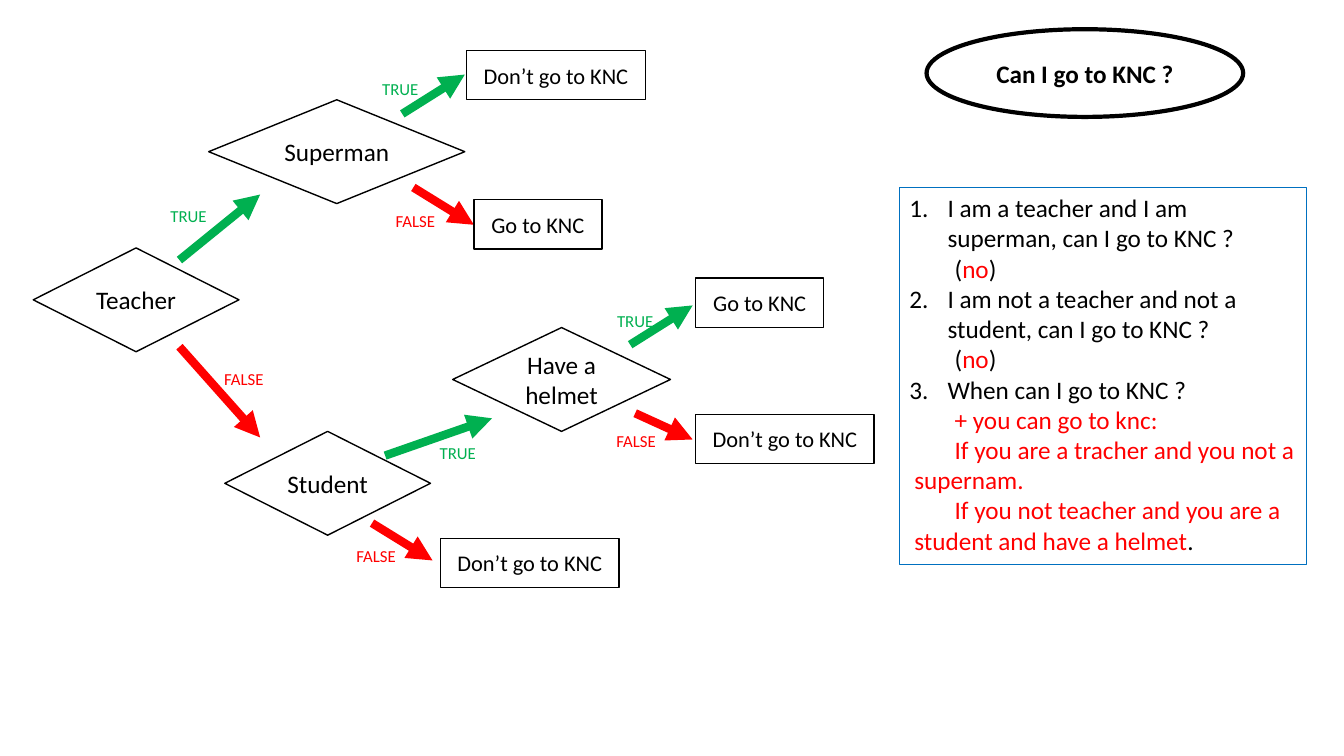
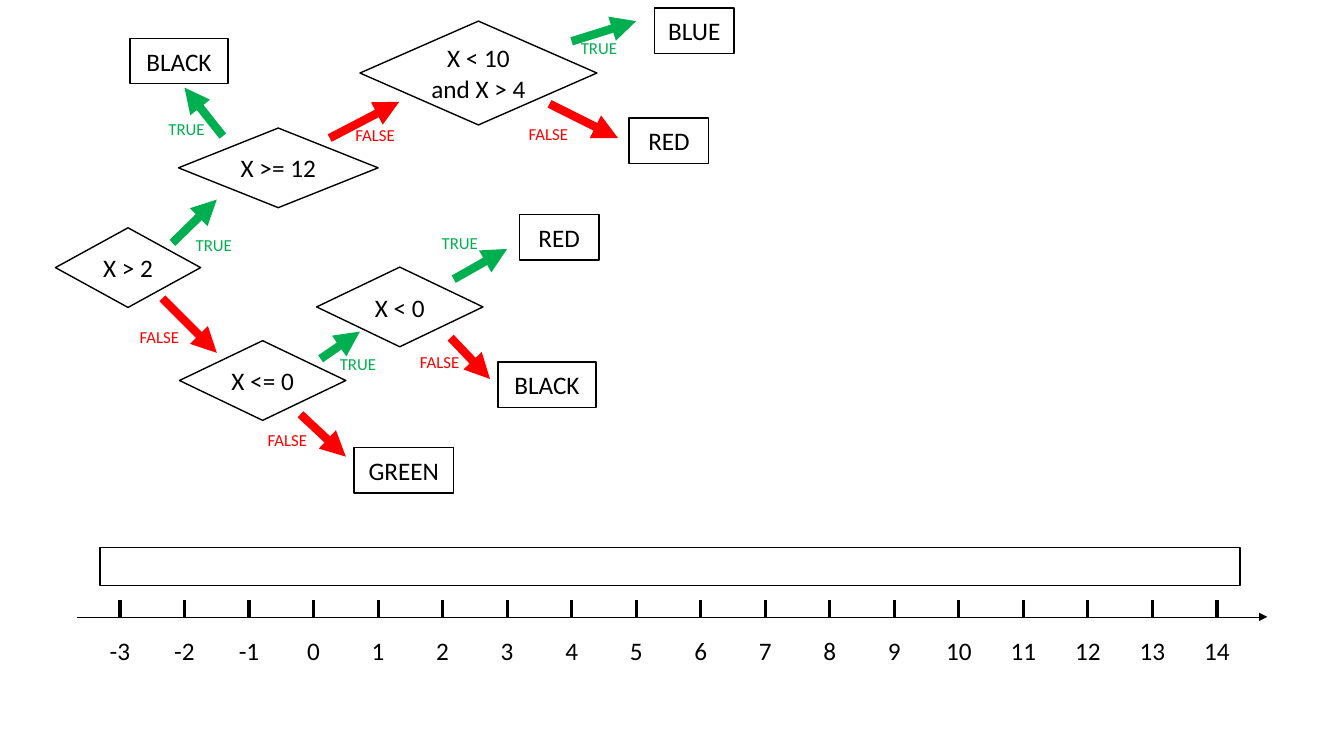
from lxml import etree
from pptx import Presentation
from pptx.dml.color import RGBColor
from pptx.enum import shapes, text
from pptx.oxml.ns import qn
from pptx.util import Inches, Pt

BLACK = RGBColor(0x00, 0x00, 0x00)
RED = RGBColor(0xFF, 0x00, 0x00)
GREEN = RGBColor(0x00, 0xB0, 0x50)
BLUE = RGBColor(0x00, 0x70, 0xC0)
FONT = "Calibri"
ANSWER_COLORS = {True: GREEN, False: RED}

TITLE_ONLY, BLANK = 5, 6
RECTANGLE = shapes.MSO_SHAPE.RECTANGLE
ELLIPSE = shapes.MSO_SHAPE.OVAL
DIAMOND = shapes.MSO_SHAPE.DIAMOND
DECISION = shapes.MSO_SHAPE.FLOWCHART_DECISION


class TreeDeck:
    """Holds the presentation, the current slide and the shared style."""

    def __init__(self):
        self.presentation = Presentation()
        self.presentation.slide_width = Inches(13.33)
        self.presentation.slide_height = Inches(7.5)
        self.slide = None

    def add_slide(self, layout):
        self.slide = self.presentation.slides.add_slide(
            self.presentation.slide_layouts[layout])

    def style(self, font, size, color=BLACK, bold=False):
        font.name, font.size, font.bold = FONT, Pt(size), bold
        font.color.rgb = color

    def center_text(self, shape, words, size, color=BLACK, bold=False):
        """Set one centred paragraph in the middle of a shape."""
        frame = shape.text_frame
        frame.text = words
        frame.vertical_anchor = text.MSO_ANCHOR.MIDDLE
        paragraph = frame.paragraphs[0]
        paragraph.alignment = text.PP_ALIGN.CENTER
        self.style(paragraph.font, size, color, bold)

    def outline(self, kind, left, top, width, height, color=BLACK, weight=1):
        shape = self.slide.shapes.add_shape(
            kind, Inches(left), Inches(top), Inches(width), Inches(height))
        shape.shadow.inherit = False
        shape.fill.background()
        shape.line.color.rgb = color
        shape.line.width = Pt(weight)
        shape.text_frame.word_wrap = True
        return shape

    def node(self, kind, words, left, top, width, height, size=18):
        self.center_text(self.outline(kind, left, top, width, height),
                         words, size)

    def title(self, words, left, top, width, height):
        title = self.slide.shapes.title
        title.left, title.top = Inches(left), Inches(top)
        title.width, title.height = Inches(width), Inches(height)
        title.text_frame.auto_size = text.MSO_AUTO_SIZE.NONE
        self.center_text(title, words, 18, bold=True)
        self.outline(ELLIPSE, left, top, width, height, weight=3)

    def label(self, words, left, top, width, height, size, color=BLACK):
        box = self.slide.shapes.add_textbox(
            Inches(left), Inches(top), Inches(width), Inches(height))
        box.text_frame.word_wrap = True
        box.text_frame.margin_left = box.text_frame.margin_right = 0
        self.center_text(box, words, size, color)

    def line(self, start, end, weight, color=BLACK, arrow=False):
        connector = self.slide.shapes.add_connector(
            shapes.MSO_CONNECTOR.STRAIGHT,
            *(Inches(value) for value in (*start, *end)))
        connector.line.color.rgb = color
        connector.line.width = Pt(weight)
        properties = connector._element.spPr
        if arrow:
            etree.SubElement(properties.find(qn("a:ln")),
                             qn("a:tailEnd"), type="triangle")
        etree.SubElement(properties, qn("a:effectLst"))

    def branch(self, answer, start, end, label_at):
        """Draw a thick arrow with its TRUE or FALSE label."""
        color = ANSWER_COLORS[answer]
        self.line(start, end, 6, color, arrow=True)
        self.label(str(answer).upper(), *label_at, 0.58, 0.3, 12, color)

    def panel(self, items, left, top, width, height):
        """Items are (number or None, margin, first-line indent, runs)."""
        frame = self.outline(RECTANGLE, left, top, width, height,
                             BLUE, 0.75).text_frame
        frame.vertical_anchor = text.MSO_ANCHOR.TOP
        for index, (number, margin, indent, runs) in enumerate(items):
            paragraph = frame.add_paragraph() if index else frame.paragraphs[0]
            paragraph.alignment = text.PP_ALIGN.LEFT
            properties = paragraph._p.get_or_add_pPr()
            properties.set("marL", str(Inches(margin)))
            properties.set("indent", str(Inches(indent)))
            if number:
                etree.SubElement(properties, qn("a:buAutoNum"),
                                 type="arabicPeriod", startAt=str(number))
            for words, color in runs:
                run = paragraph.add_run()
                run.text = words
                self.style(run.font, 18, color)


def build_visit_slide(deck):
    deck.add_slide(TITLE_ONLY)
    deck.title("Can I go to KNC ?", 9.19, 0.29, 3.14, 0.87)
    for words, left, top, width in (
            ("Superman", 2.07, 0.99, 2.54),
            ("Teacher", 0.33, 2.46, 2.04),
            ("Student", 2.23, 4.28, 2.04),
            ("Have a helmet", 4.49, 3.25, 2.16)):
        deck.node(DIAMOND, words, left, top, width, 1.03)
    for branch in (
            (False, (1.78, 3.44), (2.58, 4.34), (2.13, 3.61)),
            (True, (1.78, 2.58), (2.58, 1.93), (1.58, 1.99)),
            (True, (3.99, 1.13), (4.61, 0.74), (3.68, 0.73)),
            (False, (4.1, 1.86), (4.7, 2.23), (3.83, 2.04)),
            (True, (3.82, 4.52), (4.88, 4.15), (4.25, 4.34)),
            (False, (3.69, 5.19), (4.29, 5.56), (3.44, 5.36)),
            (True, (6.25, 3.42), (6.87, 3.03), (6.01, 3.03)),
            (False, (6.3, 4.1), (6.87, 4.36), (6.02, 4.22))):
        deck.branch(*branch)
    go, stay = ("Go to KNC", 1.27), ("Don’t go to KNC", 1.77)
    for (words, width), left, top in (
            (stay, 4.63, 0.5), (go, 4.7, 1.98), (go, 6.9, 2.76),
            (stay, 6.9, 4.11), (stay, 4.37, 5.34)):
        deck.node(RECTANGLE, words, left, top, width, 0.49, 16)

    def question(number, words):
        return number, 0.38, -0.38, [(words, BLACK)]

    def answer(*runs):
        return None, 0.05, 0.4, runs

    no = answer(("(", BLACK), ("no", RED), (")", BLACK))
    deck.panel([
        question(1, "I am a teacher and I am superman, can I go to KNC ?"),
        no,
        question(2, "I am not a teacher and not a student, "
                    "can I go to KNC ?"),
        no,
        question(3, "When can I go to KNC ?"),
        answer(("+ you can go to knc:", RED)),
        answer(("If you are a tracher and you not a supernam.", RED)),
        answer(("If you not teacher and you are a student and have a helmet",
                RED), (".", BLACK)),
    ], 8.92, 1.86, 4.04, 3.74)


def build_number_slide(deck):
    deck.add_slide(BLANK)
    deck.line((0.76, 6.12), (12.57, 6.12), 0.5, arrow=True)
    for step, number in enumerate(range(-3, 15)):
        center = 1.19 + 0.64 * step
        deck.line((center, 5.95), (center, 6.13), 2.25)
        deck.label(str(number), center - 0.23, 6.25, 0.46, 0.4, 18)
    deck.outline(RECTANGLE, 0.99, 5.43, 11.31, 0.38)

    for words, left, top, width, height in (
            ("X > 2", 0.55, 2.26, 1.44, 0.79),
            ("X >= 12", 1.77, 1.27, 1.98, 0.79),
            ("X <= 0", 1.78, 3.38, 1.65, 0.79),
            ("X < 0", 3.14, 2.65, 1.65, 0.79),
            ("X < 10 and X > 4", 3.57, 0.21, 2.35, 1.03)):
        deck.node(DECISION, words, left, top, width, height)
    for branch in (
            (True, (1.71, 2.41), (2.15, 1.98), (1.83, 2.28)),
            (False, (1.61, 2.96), (2.15, 3.5), (1.29, 3.19)),
            (True, (2.21, 1.35), (1.83, 0.87), (1.56, 1.13)),
            (False, (3.27, 1.37), (3.96, 1.01), (3.43, 1.19)),
            (True, (3.18, 3.56), (3.57, 3.29), (3.26, 3.46)),
            (False, (2.98, 4.11), (3.43, 4.53), (2.56, 4.21)),
            (True, (4.5, 2.77), (5.03, 2.47), (4.27, 2.26)),
            (False, (4.47, 3.35), (4.86, 3.76), (4.07, 3.44)),
            (True, (5.67, 0.41), (6.31, 0.21), (5.65, 0.32)),
            (False, (5.45, 1.03), (6.13, 1.37), (5.15, 1.18))):
        deck.branch(*branch)
    for words, left, top, width in (
            ("BLACK", 1.29, 0.38, 0.97),
            ("BLUE", 6.49, 0.08, 0.79),
            ("RED", 6.24, 1.17, 0.79),
            ("RED", 5.15, 2.13, 0.79),
            ("BLACK", 4.94, 3.59, 0.97),
            ("GREEN", 3.51, 4.44, 0.99)):
        deck.node(RECTANGLE, words, left, top, width, 0.45)


def main():
    deck = TreeDeck()
    build_visit_slide(deck)
    build_number_slide(deck)
    deck.presentation.save("out.pptx")


if __name__ == "__main__":
    main()
